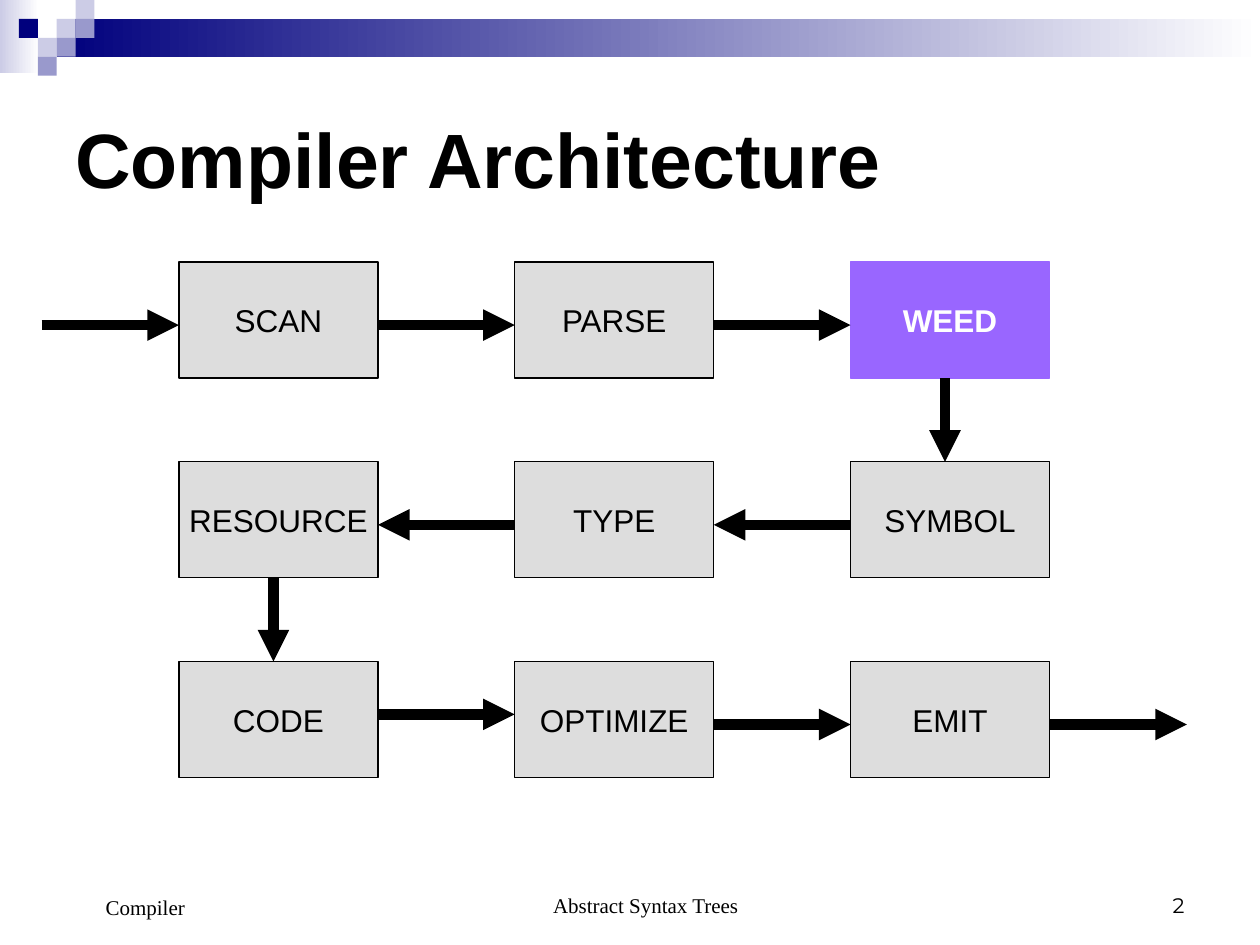
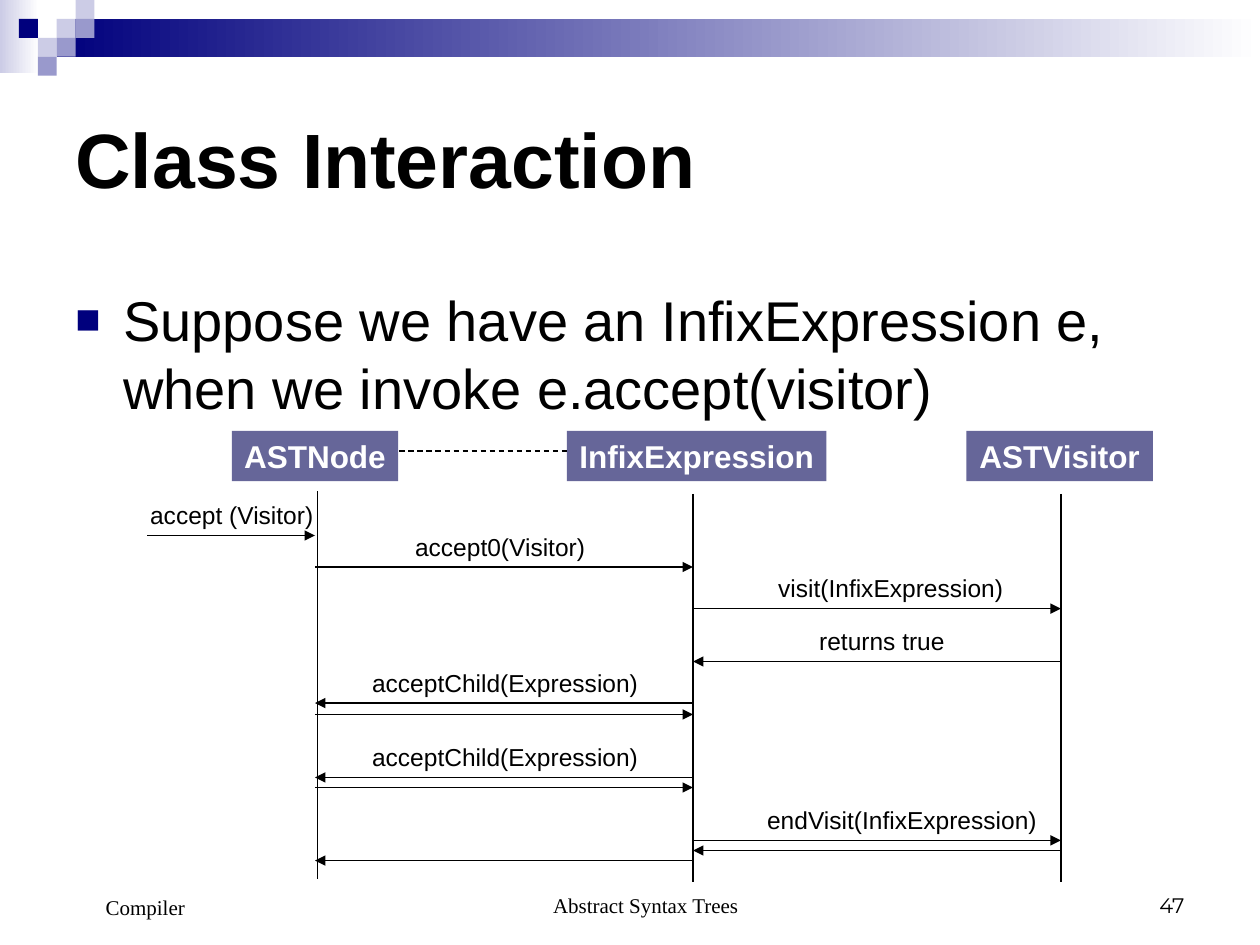
from itertools import pairwise

from lxml.etree import SubElement
from pptx import Presentation
from pptx.dml.color import RGBColor
from pptx.enum.dml import MSO_LINE
from pptx.enum.shapes import MSO_CONNECTOR, MSO_SHAPE
from pptx.enum.text import MSO_ANCHOR, PP_ALIGN
from pptx.oxml.ns import qn
from pptx.util import Inches, Pt

COLORS = {
    "white": "FFFFFF", "black": "000000", "navy": "00007D",
    "mid": "9999CC", "pale": "CCCCE6", "gray": "DDDDDD",
    "violet": "9966FF", "slate": "666699",
}

# Header: gradient bars, then squares by column and row of a small grid
BARS = [("pale", 0, 0, 0.31, 0.58), ("navy", 0.45, 0.15, 9.55, 0.3)]
CELL = 0.15
CELLS = [
    ("pale", 3, 1), ("pale", 4, 0), ("mid", 4, 1), ("pale", 2, 2),
    ("navy", 1, 1), ("mid", 3, 2), ("mid", 2, 3),
]
COURSE, TOPIC = "Compiler", "Abstract Syntax Trees"

# Compiler stages in order of flow: name, column, row
STAGES = [
    ("SCAN", 0, 0), ("PARSE", 1, 0), ("WEED", 2, 0),
    ("SYMBOL", 2, 1), ("TYPE", 1, 1), ("RESOURCE", 0, 1),
    ("CODE", 0, 2), ("OPTIMIZE", 1, 2), ("EMIT", 2, 2),
]
ACTIVE = "WEED"
LEFT, TOP, WIDE, HIGH = 1.42, 2.08, 1.58, 0.92
STEP_X, STEP_Y = 2.665, 1.585
PORT_X, PORT_Y = 0.75, 0.5  # where arrows meet a stage box
REACH = 1.09                # length of the arrows in and out
LIFT = {"CODE": 0.08}       # arrow leaving this stage sits higher

POINT = "Suppose we have an InfixExpression e, when we invoke e.accept(visitor)"
# Class name, box left, box width, lifeline x, lifeline top
CLASSES = [
    ("ASTNode", 1.84, 1.32, 2.52, 3.9),
    ("InfixExpression", 4.5, 2.06, 5.5, 3.92),
    ("ASTVisitor", 7.67, 1.48, 8.42, 3.92),
]
CALLER, NODE, INFIX, VISITOR = 1.17, 2.5, 5.5, 8.42
# Sender x, receiver x, height, label, label centre
CALLS = [
    (CALLER, NODE, 4.25, "accept (Visitor)", 1.84),
    (NODE, INFIX, 4.5, "accept0(Visitor)", 3.97),
    (INFIX, VISITOR, 4.83, "visit(InfixExpression)", 7.07),
    (VISITOR, INFIX, 5.25, "returns true", 7),
    (INFIX, NODE, 5.58, "acceptChild(Expression)", 4.01),
    (NODE, INFIX, 5.67, None, 0),
    (INFIX, NODE, 6.17, "acceptChild(Expression)", 4.01),
    (NODE, INFIX, 6.25, None, 0),
    (INFIX, VISITOR, 6.67, "endVisit(InfixExpression)", 7.16),
    (VISITOR, INFIX, 6.75, None, 0),
    (INFIX, NODE, 6.83, None, 0),
]
LABEL_W, LABEL_H = 2.4, 0.34


def rgb(name):
    return RGBColor.from_string(COLORS[name])


def write(shape, text, size, color="black", bold=False, face="Arial",
          align=PP_ALIGN.LEFT, anchor=MSO_ANCHOR.TOP, wrap=True,
          indent=0, bullet=None):
    frame = shape.text_frame
    frame.word_wrap = wrap
    frame.vertical_anchor = anchor
    para = frame.paragraphs[0]
    para.text = text
    para.alignment = align
    props = para._p.get_or_add_pPr()
    if indent:
        props.set("marL", str(Inches(indent)))
    if bullet:
        props.set("indent", str(-Inches(indent)))
        tint = SubElement(props, qn("a:buClr"))
        SubElement(tint, qn("a:srgbClr"), val=COLORS["navy"])
        SubElement(props, qn("a:buSzPct"), val="75000")
        SubElement(props, qn("a:buFont"), typeface="Arial")
        SubElement(props, qn("a:buChar"), char=bullet)
    font = para.font
    font.name, font.size, font.bold = face, Pt(size), bold
    font.color.rgb = rgb(color)


def label(slide, text, x, y, w, h, size, **style):
    """Add a text box."""
    box = slide.shapes.add_textbox(*map(Inches, (x, y, w, h)))
    write(box, text, size, **style)


def rect(slide, x, y, w, h, fill, edge=None, fade=False):
    """Add a rectangle; with fade, its fill runs to white at the right."""
    box = slide.shapes.add_shape(
        MSO_SHAPE.RECTANGLE, *map(Inches, (x, y, w, h)))
    box.shadow.inherit = False
    if fade:
        box.fill.gradient()
        box.fill.gradient_angle = 0
        for stop, color in zip(box.fill.gradient_stops, (fill, "white")):
            stop.color.rgb = rgb(color)
    else:
        box.fill.solid()
        box.fill.fore_color.rgb = rgb(fill)
    if edge:
        box.line.color.rgb = rgb(edge)
        box.line.width = Pt(0.75)
    else:
        box.line.fill.background()
    return box


def line(slide, x1, y1, x2, y2, width=0.75, head=True, dash=False):
    link = slide.shapes.add_connector(
        MSO_CONNECTOR.STRAIGHT, *map(Inches, (x1, y1, x2, y2)))
    link.line.color.rgb = rgb("black")
    link.line.width = Pt(width)
    if dash:
        link.line.dash_style = MSO_LINE.DASH
    if head:
        SubElement(link.line._get_or_add_ln(), qn("a:tailEnd"),
                   type="triangle")
    SubElement(link._element.spPr, qn("a:effectLst"))


def start(deck, title, number):
    """Add a slide with the shared header, title and footer."""
    slide = deck.slides.add_slide(deck.slide_layouts[6])
    for color, *place in BARS:
        rect(slide, *place, color, fade=True)
    for color, col, row in CELLS:
        rect(slide, col * CELL, row * CELL, CELL, CELL, color)
    label(slide, title, 0.5, 0.5, 9, 1.5, 44, bold=True,
          anchor=MSO_ANCHOR.MIDDLE)
    serif = {"face": "Times New Roman", "indent": 0.24}
    low = MSO_ANCHOR.BOTTOM
    label(slide, COURSE, 0.5, 6.83, 2.33, 0.52, 12, anchor=low, **serif)
    label(slide, TOPIC, 3.42, 6.83, 3.17, 0.5, 12, anchor=low,
          align=PP_ALIGN.CENTER, **serif)
    label(slide, str(number), 7.17, 6.83, 2.33, 0.5, 12, anchor=low,
          align=PP_ALIGN.RIGHT, face="Montserrat")
    return slide


def corner(col, row):
    """Return the top left of a stage box."""
    return LEFT + col * STEP_X, TOP + row * STEP_Y


def draw_flow(slide):
    for name, col, row in STAGES:
        live = name == ACTIVE
        box = rect(slide, *corner(col, row), WIDE, HIGH,
                   "violet" if live else "gray",
                   "violet" if live else "black")
        write(box, name, 18, "white" if live else "black", bold=live,
              align=PP_ALIGN.CENTER, anchor=MSO_ANCHOR.MIDDLE, wrap=False)

    for (name, col, row), (_, to_col, to_row) in pairwise(STAGES):
        x, y = corner(col, row)
        to_x, to_y = corner(to_col, to_row)
        if row != to_row:
            ends = x + PORT_X, y + HIGH, x + PORT_X, to_y
        else:
            port = y + PORT_Y - LIFT.get(name, 0)
            ahead = to_col > col
            ends = (x + WIDE * ahead, port, to_x + WIDE * (not ahead), port)
        line(slide, *ends, width=6)

    x, y = corner(*STAGES[0][1:])
    line(slide, x - REACH, y + PORT_Y, x, y + PORT_Y, width=6)
    x, y = corner(*STAGES[-1][1:])
    x += WIDE
    line(slide, x, y + PORT_Y, x + REACH, y + PORT_Y, width=6)


def draw_calls(slide):
    label(slide, POINT, 0.5, 2.22, 9, 1.25, 32, indent=0.38, bullet="■")
    for name, x, w, life, top in CLASSES:
        line(slide, life, top, life, top + 3.08, head=False)
        box = rect(slide, x, 3.42, w, 0.4, "slate")
        write(box, name, 18, "white", bold=True, wrap=False,
              align=PP_ALIGN.CENTER, anchor=MSO_ANCHOR.MIDDLE)
    line(slide, 3.17, 3.58, 4.5, 3.58, head=False, dash=True)
    for x1, x2, y, text, mid in CALLS:
        line(slide, x1, y, x2, y)
        if text:
            label(slide, text, mid - LABEL_W / 2, y - 0.33, LABEL_W, LABEL_H,
                  14, align=PP_ALIGN.CENTER, wrap=False)


def main():
    deck = Presentation()
    deck.slide_width, deck.slide_height = Inches(10), Inches(7.5)
    draw_flow(start(deck, "Compiler Architecture", 2))
    draw_calls(start(deck, "Class Interaction", 47))
    deck.save("out.pptx")


if __name__ == "__main__":
    main()
